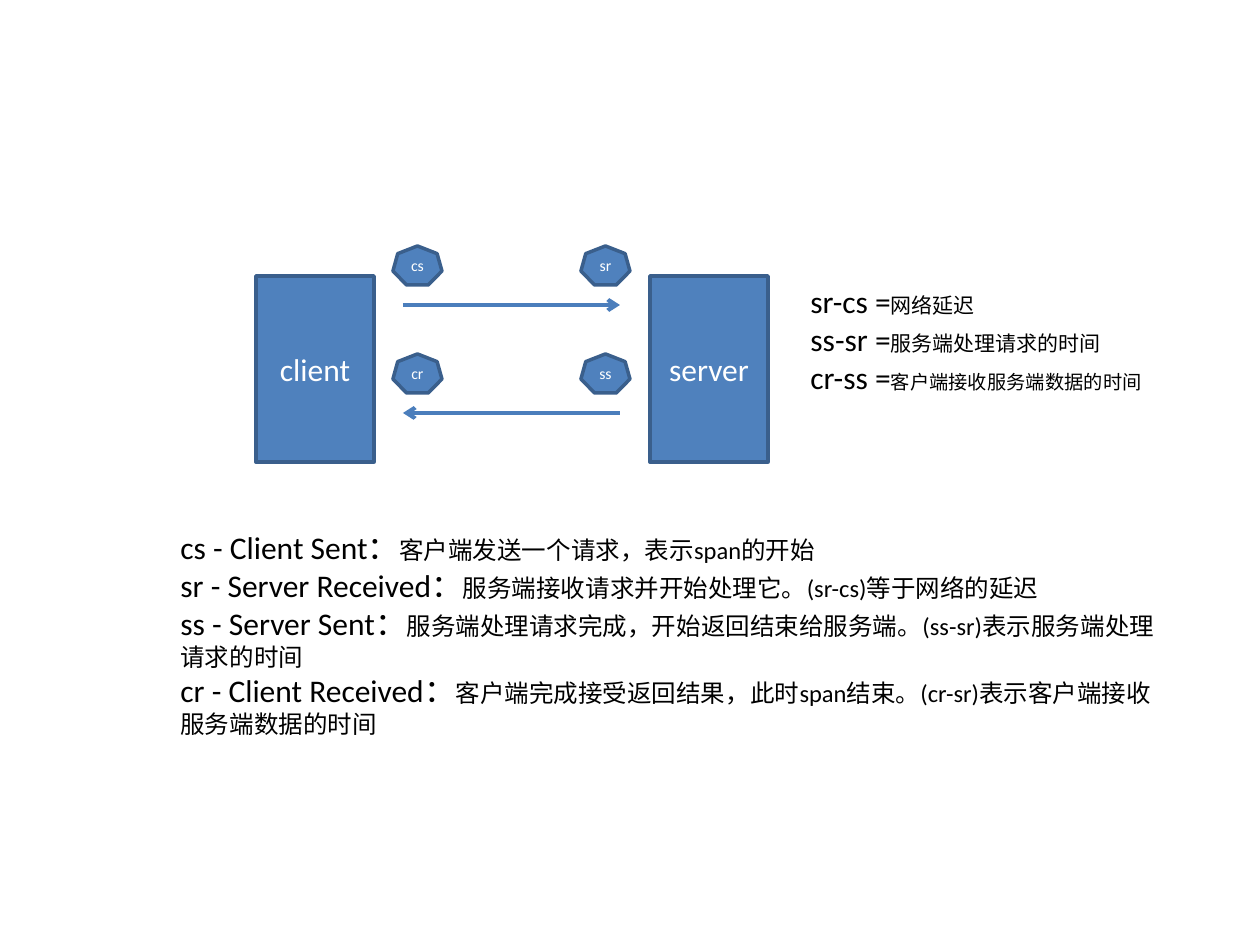
from lxml import etree
from pptx import Presentation
from pptx.dml.color import RGBColor
from pptx.enum.shapes import MSO_CONNECTOR, MSO_SHAPE
from pptx.enum.text import MSO_ANCHOR, MSO_AUTO_SIZE, PP_ALIGN
from pptx.oxml.ns import qn
from pptx.util import Pt

RECTANGLE, HEPTAGON = MSO_SHAPE.RECTANGLE, MSO_SHAPE.HEPTAGON
STRAIGHT = MSO_CONNECTOR.STRAIGHT
CENTER, MIDDLE = PP_ALIGN.CENTER, MSO_ANCHOR.MIDDLE
FIT_SHAPE = MSO_AUTO_SIZE.SHAPE_TO_FIT_TEXT

PX = 914400 / 126
FONT = "Calibri"
COLORS = {"fill": "4F81BD", "border": "3A5F8C", "arrow": "4B7EBC",
          "light": "FFFFFF", "dark": "000000"}

# Content: each note line is (term, explanation, explanation size)
HOSTS = ["client", "server"]
EVENTS = [["cs", "sr"], ["cr", "ss"]]
DEFINITIONS = [
    ("cs - Client Sent：", "客户端发送一个请求，表示span的开始", 14),
    ("sr - Server Received：", "服务端接收请求并开始处理它。(sr-cs)等于网络的延迟", 14),
    ("ss - Server Sent：",
     "服务端处理请求完成，开始返回结束给服务端。(ss-sr)表示服务端处理请求的时间", 14),
    ("cr - Client Received：",
     "客户端完成接受返回结果，此时span结束。(cr-sr)表示客户端接收服务端数据的时间", 14),
]
FORMULAS = [
    ("sr-cs =", "网络延迟", 12),
    ("ss-sr =", "服务端处理请求的时间", 12),
    ("cr-ss =", "客户端接收服务端数据的时间", 11),
]

# Layout in px
HOST_LEFT, HOST_TOP, HOST_STEP, HOST_SIZE = 256, 276, 394, (118, 186)
EVENT_LEFT, EVENT_TOP, EVENT_STEP, EVENT_SIZE = 393, 246, 188, (49, 39)
ARROW_LEFT, ARROW_RIGHT, ARROW_TOP = 403, 620, 305
ROW_STEP = 108
DEFINITION_BOX = (168, 522, 1014, 224)
FORMULA_BOX = (798, 276, 364, 165)


def px(*lengths):
    return [round(length * PX) for length in lengths]


def color(name):
    return RGBColor.from_string(COLORS[name])


def add_run(paragraph, text, size, color_name):
    run = paragraph.add_run()
    run.text = text
    run.font.name = FONT
    run.font.size = Pt(size)
    run.font.color.rgb = color(color_name)


def add_node(slide, kind, box, label, size):
    shape = slide.shapes.add_shape(kind, *px(*box))
    shape.shadow.inherit = False
    shape.fill.solid()
    shape.fill.fore_color.rgb = color("fill")
    shape.line.color.rgb = color("border")
    shape.line.width = Pt(2)
    frame = shape.text_frame
    frame.margin_left = frame.margin_right = 0
    frame.margin_top = frame.margin_bottom = 0
    frame.vertical_anchor = MIDDLE
    frame.paragraphs[0].alignment = CENTER
    add_run(frame.paragraphs[0], label, size, "light")


def add_arrow(slide, start, end, y):
    connector = slide.shapes.add_connector(STRAIGHT, *px(start, y, end, y))
    connector.line.color.rgb = color("arrow")
    connector.line.width = Pt(2.25)
    etree.SubElement(connector.line._get_or_add_ln(), qn("a:tailEnd"), type="arrow")
    etree.SubElement(connector._element.spPr, qn("a:effectLst"))


def add_notes_box(slide, box, lines):
    frame = slide.shapes.add_textbox(*px(*box)).text_frame
    frame.word_wrap = True
    frame.auto_size = FIT_SHAPE
    for index, (term, explanation, size) in enumerate(lines):
        paragraph = frame.add_paragraph() if index else frame.paragraphs[0]
        add_run(paragraph, term, 18, "dark")
        add_run(paragraph, explanation, size, "dark")


def main():
    presentation = Presentation()
    presentation.slide_width, presentation.slide_height = px(1260, 945)
    slide = presentation.slides.add_slide(presentation.slide_layouts[6])

    # Client and server
    for column, host in enumerate(HOSTS):
        box = (HOST_LEFT + column * HOST_STEP, HOST_TOP, *HOST_SIZE)
        add_node(slide, RECTANGLE, box, host, 18)

    # Request and response arrows
    add_arrow(slide, ARROW_LEFT, ARROW_RIGHT, ARROW_TOP)
    add_arrow(slide, ARROW_RIGHT, ARROW_LEFT, ARROW_TOP + ROW_STEP)

    # Event markers
    for row, events in enumerate(EVENTS):
        for column, event in enumerate(events):
            box = (EVENT_LEFT + column * EVENT_STEP,
                   EVENT_TOP + row * ROW_STEP, *EVENT_SIZE)
            add_node(slide, HEPTAGON, box, event, 9)

    # Explanations
    add_notes_box(slide, DEFINITION_BOX, DEFINITIONS)
    add_notes_box(slide, FORMULA_BOX, FORMULAS)
    presentation.save("out.pptx")


if __name__ == "__main__":
    main()
